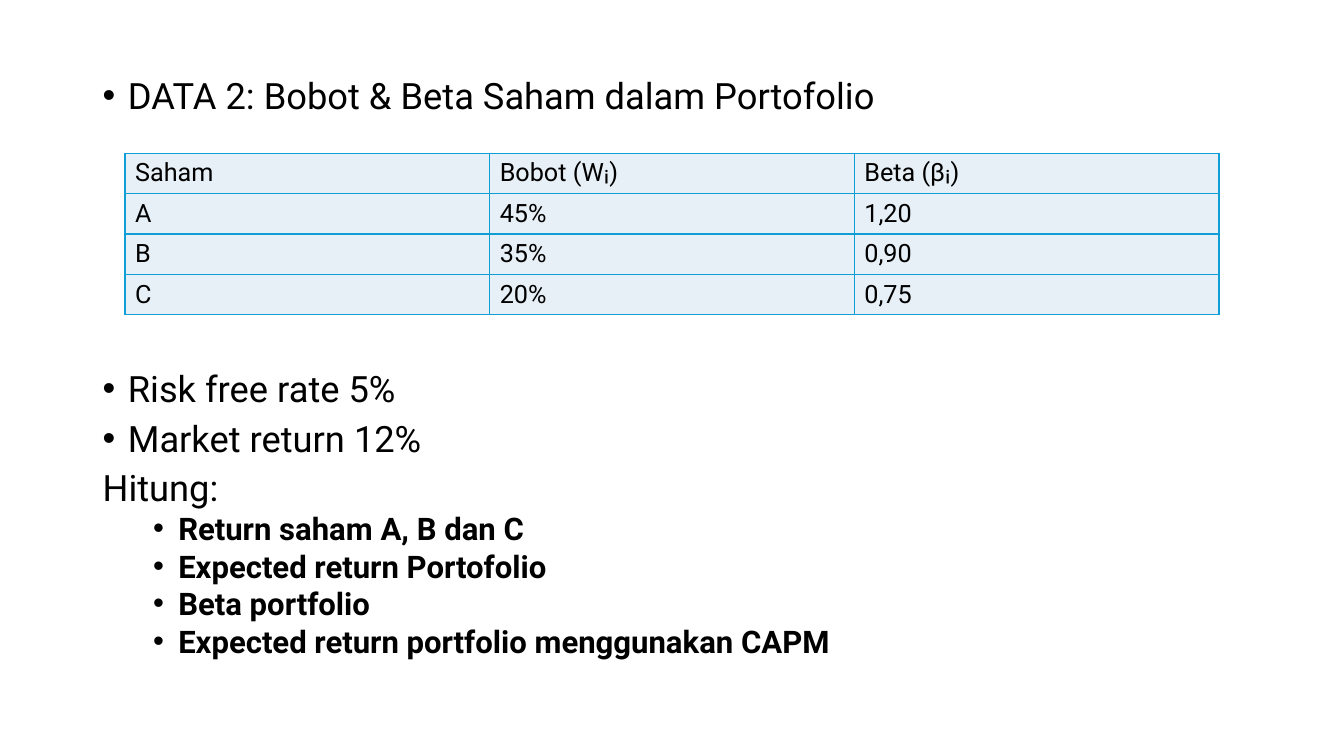
from lxml.etree import SubElement
from pptx import Presentation
from pptx.dml.color import RGBColor
from pptx.enum.text import MSO_ANCHOR as Anchor
from pptx.oxml.ns import qn
from pptx.util import Inches, Pt

BLACK = RGBColor(0x00, 0x00, 0x00)
PALE_BLUE = RGBColor(0xE7, 0xF0, 0xF7)
BORDER_BLUE = RGBColor(0x0F, 0x9E, 0xD5)
FONT = "Roboto"


def set_font(paragraph, size, bold=False):
    font = paragraph.font
    font.name, font.size, font.bold = FONT, Pt(size), bold
    font.color.rgb = BLACK


def add_borders(cell):
    properties = cell._tc.get_or_add_tcPr()
    for position, side in enumerate(("a:lnL", "a:lnR", "a:lnT", "a:lnB")):
        line = properties.makeelement(qn(side), {"w": str(Pt(1))})
        fill = SubElement(line, qn("a:solidFill"))
        SubElement(fill, qn("a:srgbClr"), val=str(BORDER_BLUE))
        properties.insert(position, line)


presentation = Presentation()
presentation.slide_width = Inches(13.33)
presentation.slide_height = Inches(7.5)
slide = presentation.slides.add_slide(presentation.slide_layouts[6])

body = slide.shapes.add_textbox(Inches(0.92), Inches(0.75), Inches(11.5), Inches(6.01))
frame = body.text_frame
frame.word_wrap = True

TABLE_GAP = 184
outline = [
    ("DATA 2: Bobot & Beta Saham dalam Portofolio", 0, True, 0),
    ("Risk free rate 5%", 0, True, TABLE_GAP),
    ("Market return 12%", 0, True, 10),
    ("Hitung:", 0, False, 10),
    ("Return saham A, B dan C", 1, True, 5),
    ("Expected return Portofolio", 1, True, 5),
    ("Beta portfolio", 1, True, 5),
    ("Expected return portfolio menggunakan CAPM", 1, True, 5),
]
for index, (text, level, bulleted, space_before) in enumerate(outline):
    paragraph = frame.add_paragraph() if index else frame.paragraphs[0]
    paragraph.text = text
    paragraph.level = level
    paragraph.line_spacing = 0.82
    paragraph.space_before = Pt(space_before)
    if bulleted:
        properties = paragraph._p.get_or_add_pPr()
        properties.set("marL", str(Inches(0.25 + 0.5 * level)))
        properties.set("indent", str(Inches(-0.25)))
        SubElement(properties, qn("a:buFont"), typeface="Arial")
        SubElement(properties, qn("a:buChar"), char="•")
    set_font(paragraph, 22.2 if level else 25.9, bold=level == 1)

stocks = [
    ("Saham", "Bobot (Wᵢ)", "Beta (βᵢ)"),
    ("A", "45%", "1,20"),
    ("B", "35%", "0,90"),
    ("C", "20%", "0,75"),
]
table = slide.shapes.add_table(
    len(stocks), len(stocks[0]), Inches(1.24), Inches(1.52), Inches(10.85), Inches(1.58)
).table
for row, values in enumerate(stocks):
    for column, value in enumerate(values):
        cell = table.cell(row, column)
        cell.text = value
        cell.vertical_anchor = Anchor.MIDDLE
        cell.fill.solid()
        cell.fill.fore_color.rgb = PALE_BLUE
        add_borders(cell)
        set_font(cell.text_frame.paragraphs[0], 18)

presentation.save("out.pptx")
